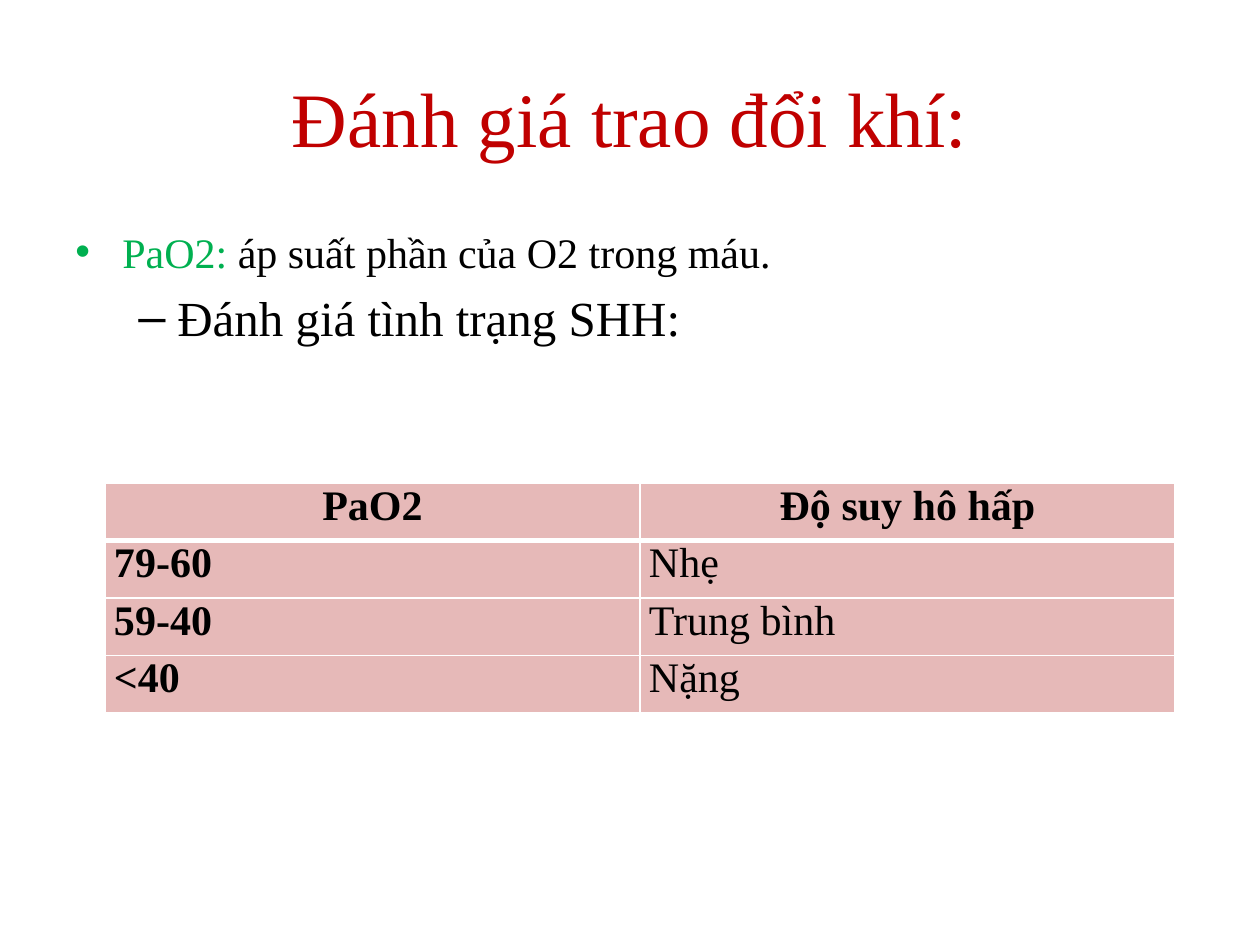
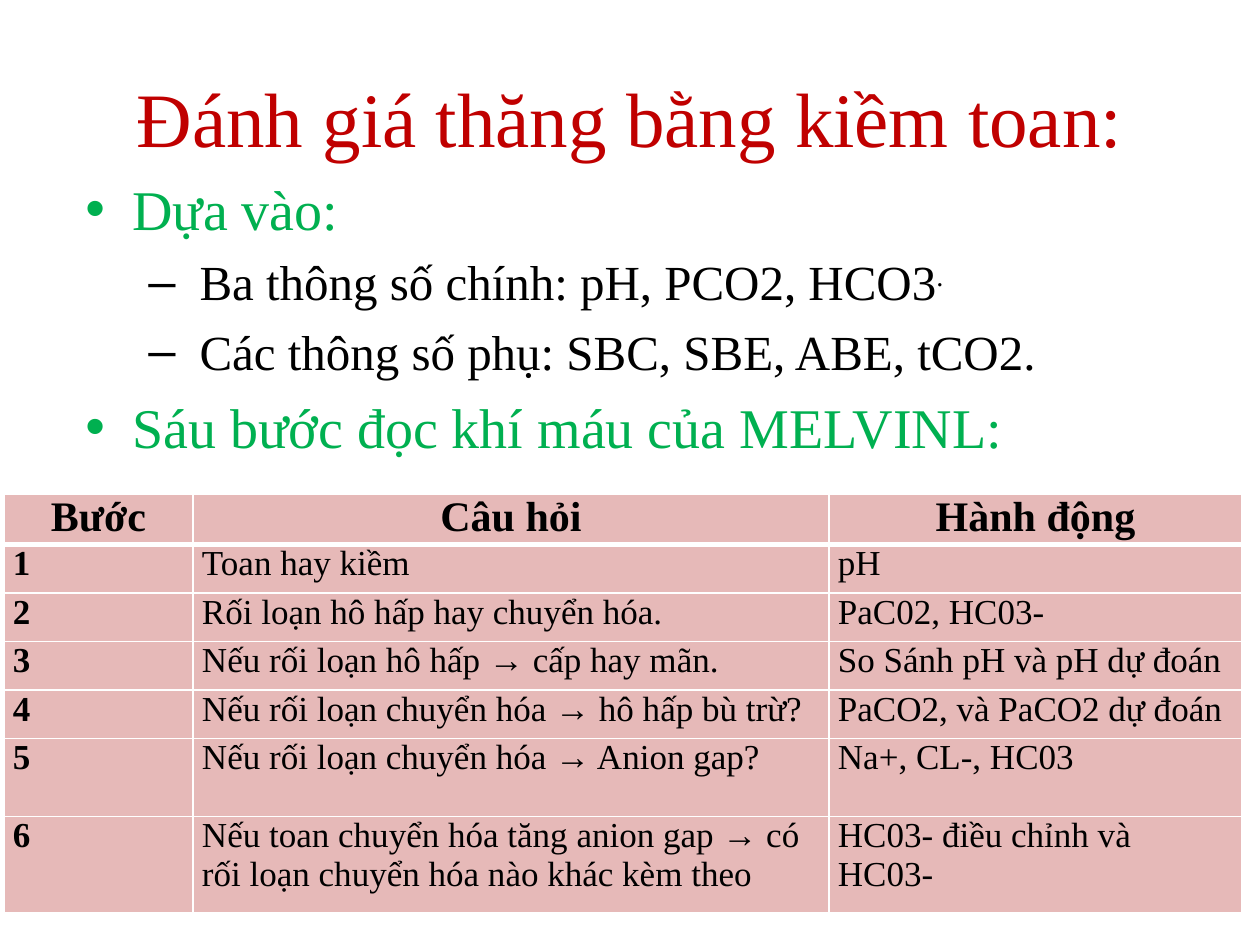
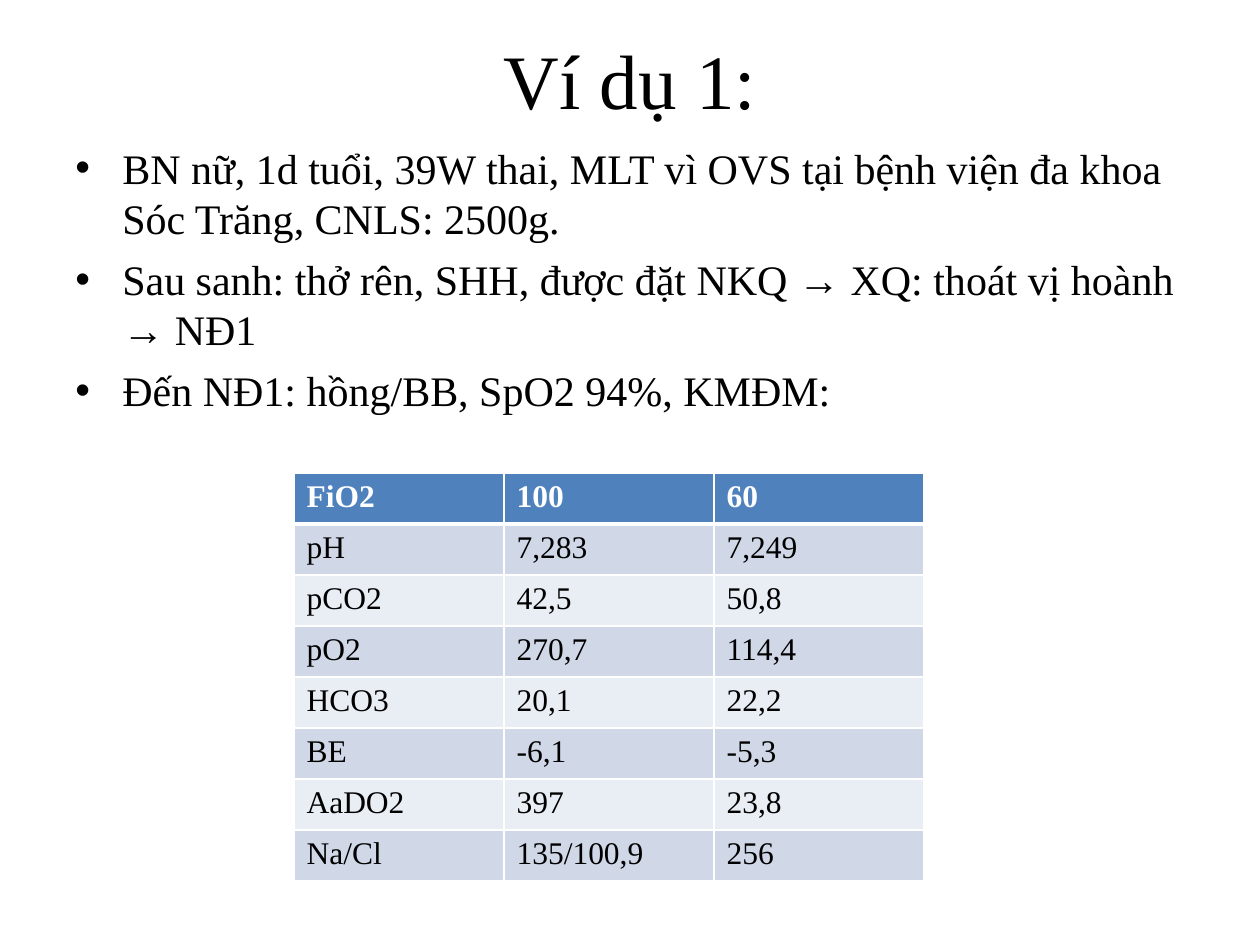
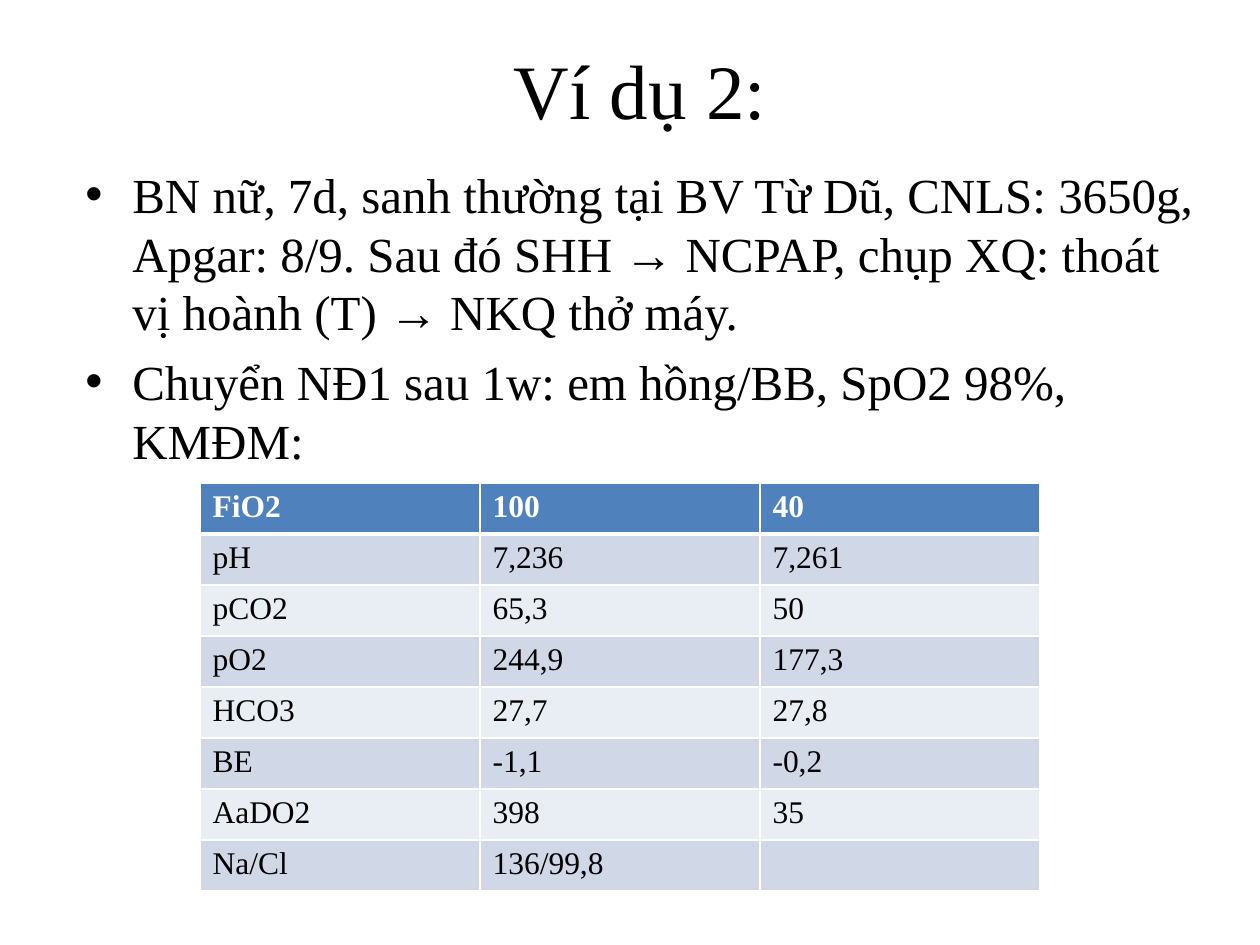
from dataclasses import dataclass

from lxml.etree import SubElement
from pptx import Presentation
from pptx.dml.color import RGBColor
from pptx.enum.text import MSO_ANCHOR as Anchor, PP_ALIGN as Align
from pptx.oxml.ns import qn
from pptx.util import Emu, Pt


@dataclass(frozen=True)
class Theme:
    font: str = "Times New Roman"
    bullet_font: str = "Arial"
    black: str = "000000"
    white: str = "FFFFFF"
    red: str = "C00000"
    green: str = "00B050"
    pink: str = "E6B9B8"
    blue: str = "4F81BD"
    bands: tuple = ("D0D8E8", "E9EDF4")
    title_size: int = 44
    large_size: int = 32
    body_size: int = 28
    small_size: int = 24
    cell_size: int = 20
    data_size: int = 18


THEME = Theme()
TITLE_ONLY = 5
BODY_WIDTH, BODY_HEIGHT = 1134, 624
TITLE_HEIGHT = 158
BULLETS = (("•", 47, 47), ("–", 102, 39))
BORDER, HEADER_BORDER = Pt(1), Pt(3)


def px(length):
    return Emu(round(length * 914400 / 126))


def format_run(run, size, color=THEME.black, bold=False):
    run.font.name = THEME.font
    run.font.size = Pt(size)
    run.font.bold = bold
    run.font.color.rgb = RGBColor.from_string(color)


def add_titled_slide(presentation, title, color, left, top):
    slide = presentation.slides.add_slide(presentation.slide_layouts[TITLE_ONLY])
    shape = slide.shapes.title
    shape.left, shape.top = px(left), px(top)
    shape.width, shape.height = px(BODY_WIDTH), px(TITLE_HEIGHT)
    text_frame = shape.text_frame
    text_frame.text = title
    text_frame.vertical_anchor = Anchor.MIDDLE
    paragraph = text_frame.paragraphs[0]
    paragraph.alignment = Align.CENTER
    format_run(paragraph.runs[0], THEME.title_size, color)
    return slide


def set_bullet(paragraph, level):
    symbol, indent, hanging = BULLETS[level]
    paragraph.level = level
    properties = paragraph._p.get_or_add_pPr()
    properties.set("marL", str(px(indent)))
    properties.set("indent", str(-px(hanging)))
    SubElement(properties, qn("a:buFont"), typeface=THEME.bullet_font)
    SubElement(properties, qn("a:buChar"), char=symbol)


def add_bullets(slide, left, top, items):
    box = slide.shapes.add_textbox(px(left), px(top), px(BODY_WIDTH), px(BODY_HEIGHT))
    text_frame = box.text_frame
    text_frame.word_wrap = True
    for index, (level, size, parts) in enumerate(items):
        paragraph = text_frame.add_paragraph() if index else text_frame.paragraphs[0]
        if index:
            paragraph.space_before = Pt(round(size * 0.23))
        set_bullet(paragraph, level)
        for text, color in parts:
            run = paragraph.add_run()
            run.text = text
            format_run(run, size, color)
    return text_frame


def set_borders(cell, is_header):
    properties = cell._tc.get_or_add_tcPr()
    widths = {"a:lnL": BORDER, "a:lnR": BORDER}
    if is_header:
        widths["a:lnT"] = BORDER
    widths["a:lnB"] = HEADER_BORDER if is_header else BORDER
    for tag, width in widths.items():
        line = SubElement(properties, qn(tag), w=str(width))
        fill = SubElement(line, qn("a:solidFill"))
        SubElement(fill, qn("a:srgbClr"), val=THEME.white)


def set_cell(cell, text, fill, size, is_header, color=THEME.black, bold=False):
    set_borders(cell, is_header)
    cell.fill.solid()
    cell.fill.fore_color.rgb = RGBColor.from_string(fill)
    cell.text = text
    for run in cell.text_frame.paragraphs[0].runs:
        format_run(run, size, color, bold)


def add_grid(slide, left, top, widths, heights, rows):
    frame = slide.shapes.add_table(
        len(rows), len(widths), px(left), px(top), px(sum(widths)), px(sum(heights))
    )
    table = frame.table
    table.horz_banding = False
    for column, width in zip(table.columns, widths):
        column.width = px(width)
    for row, height in zip(table.rows, heights):
        row.height = px(height)
    return table


def add_pink_table(slide, left, top, widths, heights, rows, size):
    table = add_grid(slide, left, top, widths, heights, rows)
    for row_index, row in enumerate(rows):
        is_header = row_index == 0
        for column_index, text in enumerate(row):
            cell = table.cell(row_index, column_index)
            cell.margin_left = cell.margin_right = px(9)
            cell.margin_top = cell.margin_bottom = 0
            text_size = THEME.small_size if is_header else size
            bold = is_header or column_index == 0
            set_cell(cell, text, THEME.pink, text_size, is_header, bold=bold)
            if is_header:
                cell.text_frame.paragraphs[0].alignment = Align.CENTER


def add_blood_gas_table(slide, left, top, column_width, rows):
    widths, heights = [column_width] * len(rows[0]), [51] * len(rows)
    table = add_grid(slide, left, top, widths, heights, rows)
    for row_index, row in enumerate(rows):
        is_header = row_index == 0
        fill = THEME.blue if is_header else THEME.bands[(row_index - 1) % 2]
        color = THEME.white if is_header else THEME.black
        for column_index, text in enumerate(row):
            cell = table.cell(row_index, column_index)
            set_cell(cell, text, fill, THEME.data_size, is_header, color, is_header)


def add_gas_exchange_slide(presentation):
    slide = add_titled_slide(presentation, "Đánh giá trao đổi khí:", THEME.red, 63, 38)
    add_bullets(slide, 63, 220, [
        (0, THEME.small_size, [("PaO2: ", THEME.green),
                               ("áp suất phần của O2 trong máu.", THEME.black)]),
        (1, THEME.body_size, [("Đánh giá tình trạng SHH:", THEME.black)]),
    ])
    rows = [
        ("PaO2", "Độ suy hô hấp"),
        ("79-60", "Nhẹ"),
        ("59-40", "Trung bình"),
        ("<40", "Nặng"),
    ]
    add_pink_table(slide, 105, 483, [535] * 2, [57.5] * 4, rows, THEME.small_size)


def add_acid_base_slide(presentation):
    slide = add_titled_slide(
        presentation, "Đánh giá thăng bằng kiềm toan:", THEME.red, 63, 38)
    text_frame = add_bullets(slide, 73, 168, [
        (0, THEME.large_size, [("Dựa vào:", THEME.green)]),
        (1, THEME.body_size, [(" Ba thông số chính: pH, PCO2, HCO3", THEME.black),
                              (".", THEME.black)]),
        (1, THEME.body_size, [(" Các thông số phụ: SBC, SBE, ABE, tCO2.", THEME.black)]),
        (0, THEME.large_size, [("Sáu bước đọc khí máu của MELVINL:", THEME.green)]),
    ])
    superscript = text_frame.paragraphs[1].runs[-1]
    superscript._r.get_or_add_rPr().set("baseline", "30000")
    rows = [
        ("Bước", "Câu hỏi", "Hành động"),
        ("1", "Toan hay kiềm", "pH"),
        ("2", "Rối loạn hô hấp hay chuyển hóa.", "PaC02, HC03-"),
        ("3", "Nếu rối loạn hô hấp → cấp hay mãn.", "So Sánh pH và pH dự đoán"),
        ("4", "Nếu rối loạn chuyển hóa → hô hấp bù trừ?", "PaCO2, và PaCO2 dự đoán"),
        ("5", "Nếu rối loạn chuyển hóa → Anion gap?", "Na+, CL-, HC03"),
        ("6", "Nếu toan chuyển hóa tăng anion gap → có rối loạn chuyển hóa nào khác kèm theo",
         "HC03- điều chỉnh và HC03-"),
    ]
    heights = [48.5] * 5 + [78, 96]
    add_pink_table(slide, 4, 494, [189, 636, 413], heights, rows, THEME.cell_size)


def add_first_example_slide(presentation):
    slide = add_titled_slide(presentation, "Ví dụ 1:", THEME.black, 63, 0)
    lines = [
        "BN nữ, 1d tuổi, 39W thai, MLT vì OVS tại bệnh viện đa khoa Sóc Trăng, CNLS: 2500g.",
        "Sau sanh: thở rên, SHH, được đặt NKQ → XQ: thoát vị hoành → NĐ1",
        "Đến NĐ1: hồng/BB, SpO2 94%, KMĐM:",
    ]
    add_bullets(slide, 63, 136,
                [(0, THEME.small_size, [(line, THEME.black)]) for line in lines])
    add_blood_gas_table(slide, 294, 473, 210, [
        ("FiO2", "100", "60"),
        ("pH", "7,283", "7,249"),
        ("pCO2", "42,5", "50,8"),
        ("pO2", "270,7", "114,4"),
        ("HCO3", "20,1", "22,2"),
        ("BE", "-6,1", "-5,3"),
        ("AaDO2", "397", "23,8"),
        ("Na/Cl", "135/100,9", "256"),
    ])


def add_second_example_slide(presentation):
    slide = add_titled_slide(presentation, "Ví dụ 2:", THEME.black, 73, 10)
    lines = [
        "BN nữ, 7d, sanh thường tại BV Từ Dũ, CNLS: 3650g, Apgar: 8/9. "
        "Sau đó SHH → NCPAP, chụp XQ: thoát vị hoành (T) → NKQ thở máy.",
        "Chuyển NĐ1 sau 1w: em hồng/BB, SpO2 98%, KMĐM:",
    ]
    add_bullets(slide, 73, 158,
                [(0, THEME.body_size, [(line, THEME.black)]) for line in lines])
    add_blood_gas_table(slide, 200, 483, 280, [
        ("FiO2", "100", "40"),
        ("pH", "7,236", "7,261"),
        ("pCO2", "65,3", "50"),
        ("pO2", "244,9", "177,3"),
        ("HCO3", "27,7", "27,8"),
        ("BE", "-1,1", "-0,2"),
        ("AaDO2", "398", "35"),
        ("Na/Cl", "136/99,8", ""),
    ])


def main():
    presentation = Presentation()
    presentation.slide_width, presentation.slide_height = px(1260), px(945)
    add_gas_exchange_slide(presentation)
    add_acid_base_slide(presentation)
    add_first_example_slide(presentation)
    add_second_example_slide(presentation)
    presentation.save("out.pptx")


if __name__ == "__main__":
    main()
